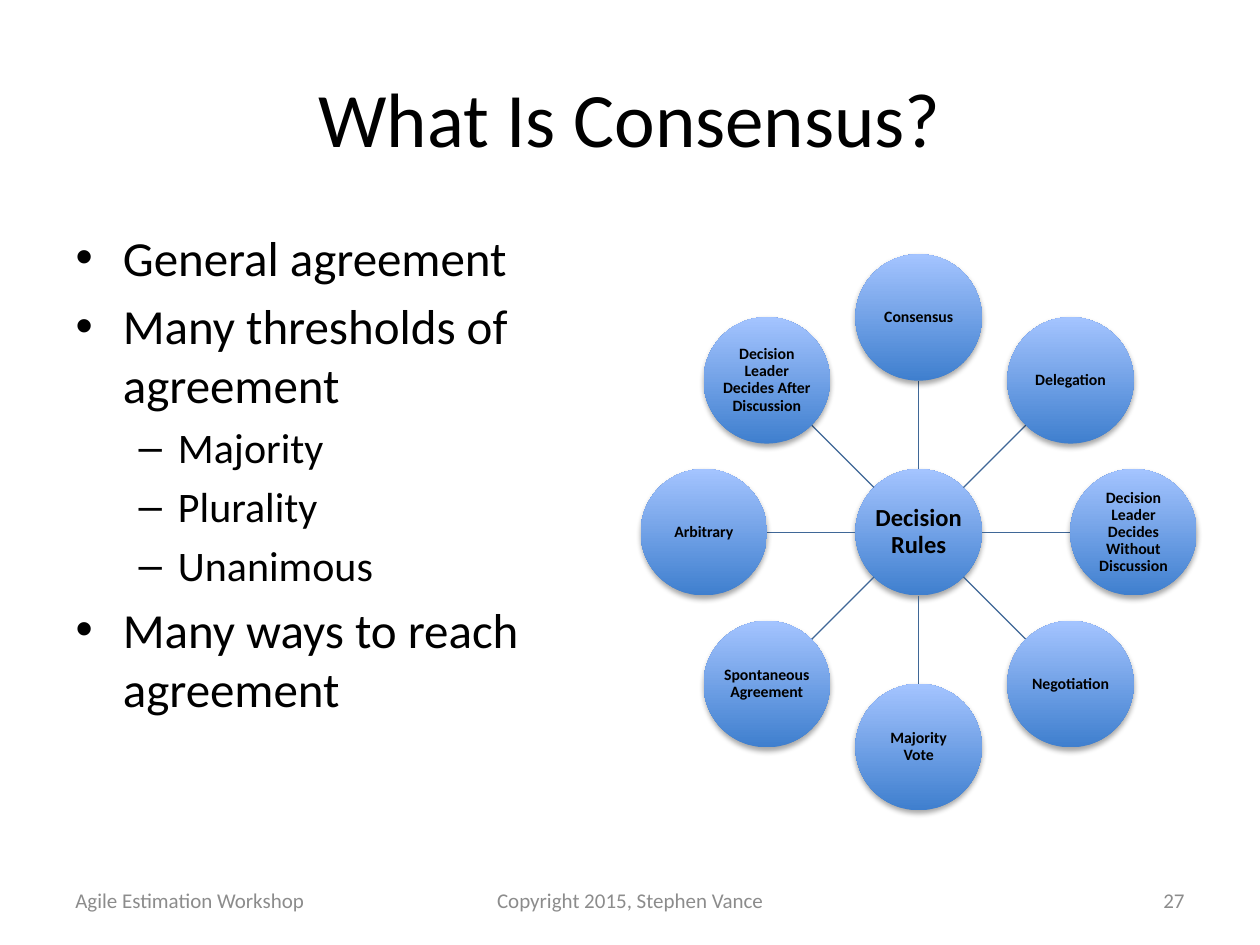
import math
from dataclasses import dataclass

import pptx
import pptx.dml.color
import pptx.enum.shapes
import pptx.enum.text
import pptx.oxml
import pptx.oxml.ns
import pptx.util

Cm = pptx.util.Cm
Align = pptx.enum.text.PP_ALIGN
Anchor = pptx.enum.text.MSO_ANCHOR


@dataclass(frozen=True)
class Theme:
    font: str = "Calibri"
    ink: str = "000000"
    muted: str = "8C8C8C"
    spoke: str = "3F6797"
    circle_bottom: str = "3F7FCE"
    circle_top: str = "A4C4FF"
    title_size: int = 44
    body_sizes: tuple = (28, 24)
    hub_size: int = 14
    node_size: int = 9
    footer_size: int = 12


THEME = Theme()

# Wheel geometry in centimetres
HUB_X, HUB_Y = 18.52, 10.73
RING = 4.33
DIAMETER = 2.55

POINTS = [
    ("General agreement", 0),
    ("Many thresholds of agreement", 0),
    ("Majority", 1),
    ("Plurality", 1),
    ("Unanimous", 1),
    ("Many ways to reach agreement", 0),
]
# Clockwise from the top
RULES = [
    "Consensus",
    "Delegation",
    "Decision Leader Decides Without Discussion",
    "Negotiation",
    "Majority Vote",
    "Spontaneous Agreement",
    "Arbitrary",
    "Decision Leader Decides After Discussion",
]
FOOTERS = [
    ("Agile Estimation Workshop", 1.27, 5.93, Align.LEFT),
    ("Copyright 2015, Stephen Vance", 8.68, 8.05, Align.CENTER),
    ("27", 18.2, 5.93, Align.RIGHT),
]
SHADOW = (
    '<a:outerShdw xmlns:a="http://schemas.openxmlformats.org/drawingml/2006/main"'
    ' blurRad="40000" dist="23000" dir="5400000" rotWithShape="0">'
    '<a:srgbClr val="000000"><a:alpha val="35000"/></a:srgbClr></a:outerShdw>'
)


def rgb(value):
    return pptx.dml.color.RGBColor.from_string(value)


def write(para, text, *, size, color=THEME.ink, bold=False, align=None, spacing=None):
    span = para.add_run()
    span.text = text
    span.font.name = THEME.font
    span.font.size = pptx.util.Pt(size)
    span.font.bold = bold
    span.font.color.rgb = rgb(color)
    if align is not None:
        para.alignment = align
    if spacing is not None:
        para.line_spacing = spacing


def place(box, left, top, width, height):
    box.left, box.top = Cm(left), Cm(top)
    box.width, box.height = Cm(width), Cm(height)


def fill_title(page, text):
    title = page.shapes.title
    place(title, 1.27, 0.76, 22.86, 3.18)
    title.text_frame.vertical_anchor = Anchor.MIDDLE
    write(title.text_frame.paragraphs[0], text, size=THEME.title_size, align=Align.CENTER)


def fill_body(page, points):
    body = page.placeholders[1]
    place(body, 1.27, 4.45, 11.22, 12.57)
    frame = body.text_frame
    for index, (text, level) in enumerate(points):
        para = frame.add_paragraph() if index else frame.paragraphs[0]
        para.level = level
        write(para, text, size=THEME.body_sizes[level])
    frame.paragraphs[0].space_before = pptx.util.Pt(0)


def add_circle(page, text, x, y, size):
    circle = page.shapes.add_shape(
        pptx.enum.shapes.MSO_SHAPE.OVAL,
        Cm(x - DIAMETER / 2), Cm(y - DIAMETER / 2), Cm(DIAMETER), Cm(DIAMETER),
    )
    circle.fill.gradient()
    circle.fill.gradient_angle = 90
    colors = (THEME.circle_bottom, THEME.circle_top)
    for position, (stop, color) in enumerate(zip(circle.fill.gradient_stops, colors)):
        stop.position = position
        stop.color.rgb = rgb(color)
    circle.line.fill.background()
    circle.shadow.inherit = False
    effects = circle._element.spPr.find(pptx.oxml.ns.qn("a:effectLst"))
    effects.append(pptx.oxml.parse_xml(SHADOW))

    frame = circle.text_frame
    frame.word_wrap = True
    frame.vertical_anchor = Anchor.MIDDLE
    frame.margin_left = frame.margin_right = Cm(0.02)
    frame.margin_top = frame.margin_bottom = Cm(0.02)
    write(frame.paragraphs[0], text, size=size, bold=True, align=Align.CENTER, spacing=0.9)


def add_spoke(page, angle):
    ends = []
    for distance in (DIAMETER / 2, RING - DIAMETER / 2):
        ends += [Cm(HUB_X + distance * math.sin(angle)), Cm(HUB_Y - distance * math.cos(angle))]
    spoke = page.shapes.add_connector(pptx.enum.shapes.MSO_CONNECTOR.STRAIGHT, *ends)
    spoke.line.color.rgb = rgb(THEME.spoke)
    spoke.line.width = pptx.util.Pt(0.75)
    spoke._element.spPr.append(pptx.oxml.ns.qn and pptx.oxml.parse_xml(
        '<a:effectLst xmlns:a="http://schemas.openxmlformats.org/drawingml/2006/main"/>'))


def add_wheel(page, hub, rules):
    add_circle(page, hub, HUB_X, HUB_Y, THEME.hub_size)
    for index, rule in enumerate(rules):
        angle = 2 * math.pi * index / len(rules)
        add_spoke(page, angle)
        x = HUB_X + RING * math.sin(angle)
        y = HUB_Y - RING * math.cos(angle)
        add_circle(page, rule, x, y, THEME.node_size)


def add_footer(page, text, left, width, align):
    box = page.shapes.add_textbox(Cm(left), Cm(17.65), Cm(width), Cm(1.01))
    box.text_frame.word_wrap = True
    box.text_frame.vertical_anchor = Anchor.MIDDLE
    write(box.text_frame.paragraphs[0], text, size=THEME.footer_size,
          color=THEME.muted, align=align)


def main():
    deck = pptx.Presentation()
    deck.slide_width, deck.slide_height = Cm(25.4), Cm(19.05)
    page = deck.slides.add_slide(deck.slide_layouts[1])

    # Title and list
    fill_title(page, "What Is Consensus?")
    fill_body(page, POINTS)

    # Wheel of decision rules
    add_wheel(page, "Decision Rules", RULES)

    # Footer row
    for footer in FOOTERS:
        add_footer(page, *footer)

    deck.save("out.pptx")


if __name__ == "__main__":
    main()
